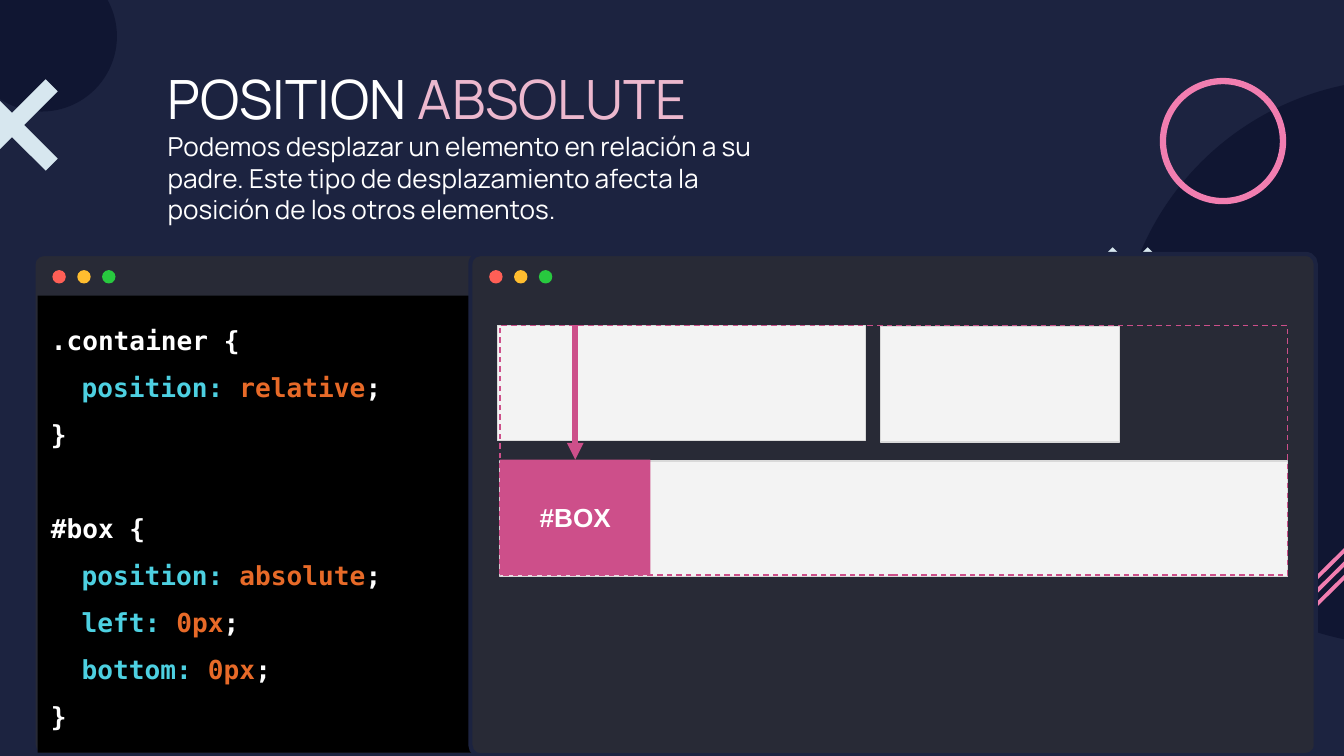
"""Build a slide that explains absolute positioning in CSS."""
from lxml import etree
from pptx import Presentation
from pptx.dml.color import RGBColor
from pptx.enum import dml, shapes, text
from pptx.oxml import ns
from pptx.util import Inches, Pt

NIGHT = RGBColor(0x1C, 0x23, 0x40)
NAVY = RGBColor(0x10, 0x16, 0x32)
SLATE = RGBColor(0x28, 0x2A, 0x36)
BLACK = RGBColor(0x00, 0x00, 0x00)
WHITE = RGBColor(0xFF, 0xFF, 0xFF)
PALE = RGBColor(0xF3, 0xF3, 0xF3)
GREY = RGBColor(0xD9, 0xD9, 0xD9)
ICE = RGBColor(0xD7, 0xE7, 0xEF)
PINK = RGBColor(0xF1, 0x7E, 0xB0)
ROSE = RGBColor(0xEC, 0xB8, 0xCE)
MAGENTA = RGBColor(0xCD, 0x4F, 0x8A)
CYAN = RGBColor(0x4D, 0xD0, 0xE1)
ORANGE = RGBColor(0xE7, 0x6A, 0x28)
LIGHTS = (RGBColor(0xFF, 0x5F, 0x56), RGBColor(0xFF, 0xBD, 0x2F), RGBColor(0x28, 0xC9, 0x3F))
KIND = shapes.MSO_SHAPE

deck = Presentation()
deck.slide_width = Inches(10)
deck.slide_height = deck.slide_width * 9 // 16
slide = deck.slides.add_slide(deck.slide_layouts[6])
slide.background.fill.solid()
slide.background.fill.fore_color.rgb = NIGHT


def draw(form, fill, edge=None, width=0.75):
    form.shadow.inherit = False
    if fill is None:
        form.fill.background()
    else:
        form.fill.solid()
        form.fill.fore_color.rgb = fill
    if edge is None:
        form.line.fill.background()
    else:
        form.line.color.rgb = edge
        form.line.width = Pt(width)
    return form


def add(kind, left, top, width, height, fill, edge=None, weight=0.75):
    box = [Inches(size) for size in (left, top, width, height)]
    return draw(slide.shapes.add_shape(kind, *box), fill, edge, weight)


add(KIND.OVAL, 8.32, 0.59, 4.21, 4.21, NAVY)
add(KIND.OVAL, -0.25, -0.29, 1.12, 1.12, NAVY)
ring = add(KIND.DONUT, 8.63, 0.58, 0.94, 0.94, PINK)
ring.adjustments[0] = 0.05

outlines = []
for x, y, half, arm in ((8.41, 2.02, 0.18, 0.05), (0.09, 0.93, 0.34, 0.09)):
    tip = half - arm
    cross = [(-tip, -half), (-half, -tip), (-arm, 0), (-half, tip), (-tip, half), (0, arm),
             (tip, half), (half, tip), (arm, 0), (half, -tip), (tip, -half), (0, -arm)]
    outlines.append((ICE, [(x + dx, y + dy) for dx, dy in cross]))
stripe = [(10.13, 3.96), (10.11, 3.97), (9.22, 4.85), (9.22, 4.88),
          (9.24, 4.87), (10.13, 3.99), (10.14, 3.96)]
for step in range(3):
    outlines.append((PINK, [(x + 0.05 * step, y + 0.05 * step) for x, y in stripe]))
for fill, points in outlines:
    spots = [(Inches(x), Inches(y)) for x, y in points]
    pen = slide.shapes.build_freeform(*spots[0])
    pen.add_line_segments(spots[1:])
    draw(pen.convert_to_shape(), fill)

back = add(KIND.ROUNDED_RECTANGLE, 0.2, 1.84, 6.4, 3.79, NIGHT)
back.adjustments[0] = 0.02
code = None
for left in (0.25, 3.5):
    pane = add(KIND.ROUNDED_RECTANGLE, left, 1.89, 6.29, 3.73, SLATE, NIGHT, 2.25)
    pane.adjustments[0] = 0.02
    for spot, light in enumerate(LIGHTS):
        add(KIND.OVAL, left + 0.14 + 0.185 * spot, 2.01, 0.1, 0.1, light)
    if code is None:
        code = add(KIND.RECTANGLE, 0.28, 2.2, 6.24, 3.4, BLACK)

frame = code.text_frame
frame.vertical_anchor = text.MSO_ANCHOR.TOP
frame.margin_top = frame.margin_bottom = Inches(0.1)
frame.word_wrap = True
rules = ((".container {", (("position: ", "relative"),)),
         ("#box {", (("position: ", "absolute"), ("left: ", "0px"), ("bottom: ", "0px"))))
lines = []
for head, pairs in rules:
    lines.append([(head, WHITE)])
    lines += [[(name, CYAN), (value, ORANGE), (";", WHITE)] for name, value in pairs]
    lines.append([("}", WHITE)])
for row, parts in enumerate(lines):
    para = frame.paragraphs[0] if row == 0 else frame.add_paragraph()
    para.alignment = text.PP_ALIGN.LEFT
    para.line_spacing = 1.5
    if len(parts) > 1:
        para._p.get_or_add_pPr().set("marL", str(Inches(0.23)))
    elif parts[0][0] == "#box {":
        para.space_before = Pt(25)
    for words, hue in parts:
        run = para.add_run()
        run.text = words
        run.font.name, run.font.size, run.font.bold = "DejaVu Sans Mono", Pt(14), True
        run.font.color.rgb = hue

title = slide.shapes.add_textbox(Inches(1.15), Inches(0.39), Inches(4.86), Inches(0.86))
frame = title.text_frame
frame.word_wrap = True
frame.margin_top = frame.margin_bottom = Inches(0.1)
intro = ("Podemos desplazar un elemento en relación a su padre. Este tipo de "
         "desplazamiento afecta la posición de los otros elementos.")
blocks = ((29, (("POSITION ", WHITE), ("ABSOLUTE", ROSE))), (14, ((intro, WHITE),)))
for row, (size, parts) in enumerate(blocks):
    para = frame.paragraphs[0] if row == 0 else frame.add_paragraph()
    for words, hue in parts:
        run = para.add_run()
        run.text = words
        run.font.name, run.font.size = "Manrope", Pt(size)
        run.font.color.rgb = hue

add(KIND.RECTANGLE, 3.7, 2.42, 2.74, 0.86, PALE, GREY)
add(KIND.RECTANGLE, 3.72, 3.43, 5.86, 0.86, PALE, GREY)
box = add(KIND.RECTANGLE, 3.72, 3.42, 1.12, 0.86, MAGENTA)
box.text_frame.text = "#BOX"
box.text_frame.vertical_anchor = text.MSO_ANCHOR.MIDDLE
para = box.text_frame.paragraphs[0]
para.alignment = text.PP_ALIGN.CENTER
font = para.runs[0].font
font.name, font.size, font.bold = "Arial", Pt(14), True
font.color.rgb = WHITE
add(KIND.RECTANGLE, 6.55, 2.43, 1.78, 0.86, PALE, GREY)
area = add(KIND.RECTANGLE, 3.72, 2.42, 5.86, 1.86, None, MAGENTA)
area.line.dash_style = dml.MSO_LINE.DASH

arrow = slide.shapes.add_connector(
    shapes.MSO_CONNECTOR.STRAIGHT, Inches(4.28), Inches(2.42), Inches(4.28), Inches(3.42))
arrow.line.color.rgb = MAGENTA
arrow.line.width = Pt(3)
etree.SubElement(arrow.line._get_or_add_ln(), ns.qn("a:tailEnd"), type="triangle")
etree.SubElement(arrow._element.spPr, ns.qn("a:effectLst"))

deck.save("out.pptx")
